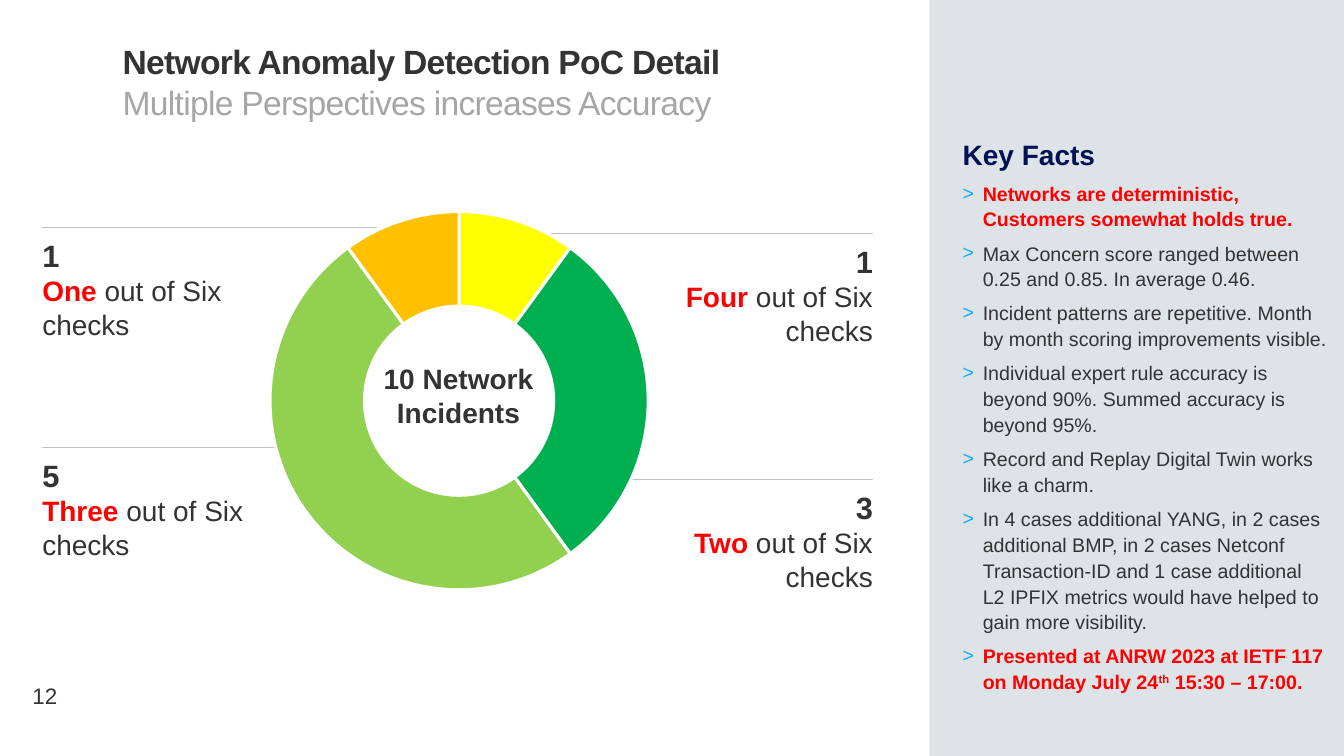
from lxml import etree
from pptx import Presentation
from pptx import util as u
from pptx.chart import data as chart_data
from pptx.dml import color
from pptx.enum import chart as chart_enum, shapes, text
from pptx.oxml import ns, parse_xml

FONT = "Arial"
DARK, RED, GREY = "333333", "FF0000", "A6A6A6"
RULE, PANEL, NAVY, BLUE, WHITE = "C1C1C1", "DDE3E7", "001155", "11AAFF", "FFFFFF"
RING = [("1", 10, "FFFF00"), ("2", 30, "00B050"), ("3", 50, "92D050"), ("4", 10, "FFC000")]
CALLOUTS = [
    ("1", "One", 30.2, 162.7, 159, 239, False),
    ("5", "Three", 30.2, 319.7, 159, 178.6, False),
    ("1", "Four", 453, 167, 170.5, 239, True),
    ("3", "Two", 453, 342.7, 170.5, 177, True),
]
KEY_FACTS = [
    ("Networks are deterministic, Customers somewhat holds true.", True),
    ("Max Concern score ranged between 0.25 and 0.85. In average 0.46.", False),
    ("Incident patterns are repetitive. Month by month scoring improvements visible.", False),
    ("Individual expert rule accuracy is beyond 90%. Summed accuracy is beyond 95%.", False),
    ("Record and Replay Digital Twin works like a charm.", False),
    ("In 4 cases additional YANG, in 2 cases additional BMP, in 2 cases Netconf "
     "Transaction-ID and 1 case additional\nL2 IPFIX metrics would have helped to "
     "gain more visibility.", False),
    ("Presented at ANRW 2023 at IETF 117 on Monday July 24^th^ 15:30 – 17:00.", True),
]


def rgb(value):
    """Turn a hex string into a colour."""
    return color.RGBColor.from_string(value)


def add_run(paragraph, words, size, shade=DARK, bold=False):
    """Append one formatted run to a paragraph."""
    run = paragraph.add_run()
    run.text = words
    run.font.name, run.font.size, run.font.bold = FONT, u.Pt(size), bold
    run.font.color.rgb = rgb(shade)
    return run


def add_text_box(slide, left, top, width, height, insets=(0, 0, 0, 0)):
    """Add a wrapping text box and return its frame."""
    frame = slide.shapes.add_textbox(*map(u.Pt, (left, top, width, height))).text_frame
    frame.word_wrap = True
    (frame.margin_left, frame.margin_top,
     frame.margin_right, frame.margin_bottom) = map(u.Pt, insets)
    return frame


def add_shape(slide, kind, left, top, width, height, fill=None):
    """Add a borderless preset shape without shadow."""
    shape = slide.shapes.add_shape(kind, *map(u.Pt, (left, top, width, height)))
    shape.shadow.inherit = False
    shape.line.fill.background()
    if fill:
        shape.fill.solid()
        shape.fill.fore_color.rgb = rgb(fill)
    else:
        shape.fill.background()
    return shape


def add_title(slide, left, top, width, height):
    """Add the two-line title."""
    frame = add_text_box(slide, left, top, width, height, (7.2, 3.6, 7.2, 3.6))
    paragraph = frame.paragraphs[0]
    title = add_run(paragraph, "Network Anomaly Detection PoC Detail", 24, DARK, True)
    paragraph.add_line_break()
    subtitle = add_run(paragraph, "Multiple Perspectives increases Accuracy", 24, GREY)
    for run in (title, subtitle):
        run.font._element.set("spc", "-50")


def add_callout(slide, count, checks, left, top, width, rule_length, on_right):
    """Add a count with its label under a rule that runs towards the ring."""
    start = left + width - rule_length if on_right else left
    rule = slide.shapes.add_connector(
        shapes.MSO_CONNECTOR.STRAIGHT, *map(u.Pt, (start, top, start + rule_length, top)))
    rule.line.color.rgb, rule.line.width = rgb(RULE), u.Pt(0.5)
    etree.SubElement(rule._element.spPr, ns.qn("a:effectLst"))
    frame = add_text_box(slide, left, top, width, 87, (0, 6.5, 0, 0))
    add_run(frame.paragraphs[0], count, 22, DARK, True)
    label = frame.add_paragraph()
    add_run(label, checks, 20, RED, True)
    add_run(label, " out of Six checks", 20)
    for paragraph in frame.paragraphs:
        paragraph.alignment = text.PP_ALIGN.RIGHT if on_right else text.PP_ALIGN.LEFT


def add_ring(slide, left, top, width, height):
    """Add the doughnut chart with its centre caption."""
    data = chart_data.CategoryChartData()
    data.categories = [name for name, _, _ in RING]
    data.add_series("Series 1", [value for _, value, _ in RING])
    chart = slide.shapes.add_chart(chart_enum.XL_CHART_TYPE.DOUGHNUT,
                                   *map(u.Pt, (left, top, width, height)), data).chart
    chart.has_legend = chart.has_title = False
    chart.font.name, chart.font.size, chart.font.color.rgb = FONT, u.Pt(18), rgb(DARK)
    plot = chart.plots[0]
    plot.vary_by_categories = True
    for index, (_, _, shade) in enumerate(RING):
        style = plot.series[0].points[index].format
        style.fill.solid()
        style.fill.fore_color.rgb = rgb(shade)
        style.line.color.rgb, style.line.width = rgb(WHITE), u.Pt(2.25)
    next(chart._chartSpace.iter(ns.qn("c:holeSize"))).set("val", "64")
    area = next(chart._chartSpace.iter(ns.qn("c:plotArea")))
    for layout in area.findall(ns.qn("c:layout")):
        area.remove(layout)
    area.insert(0, parse_xml(
        f'<c:layout {ns.nsdecls("c")}><c:manualLayout><c:layoutTarget val="inner"/>'
        '<c:xMode val="edge"/><c:yMode val="edge"/><c:x val="0.032"/><c:y val="0.032"/>'
        '<c:w val="0.936"/><c:h val="0.936"/></c:manualLayout></c:layout>'))
    centre = add_shape(slide, shapes.MSO_SHAPE.OVAL,
                       left + 48.2, top + 88.6, 191.5, 195.8)
    frame = centre.text_frame
    frame.word_wrap = True
    frame.vertical_anchor = text.MSO_ANCHOR.MIDDLE
    frame.paragraphs[0].alignment = text.PP_ALIGN.CENTER
    add_run(frame.paragraphs[0], "10 Network Incidents", 20, DARK, True)


def add_bullet(paragraph):
    """Give a paragraph the blue angle bullet and a hanging indent."""
    properties = paragraph._p.get_or_add_pPr()
    properties.set("marL", str(u.Pt(14.4)))
    properties.set("indent", str(-u.Pt(14.4)))
    shade = etree.SubElement(properties, ns.qn("a:buClr"))
    etree.SubElement(shade, ns.qn("a:srgbClr"), val=BLUE)
    etree.SubElement(properties, ns.qn("a:buFont"), typeface=FONT)
    etree.SubElement(properties, ns.qn("a:buChar"), char=">")


def add_key_facts(slide, left, top, width, height):
    """Add the side panel with its heading and bulleted facts."""
    add_shape(slide, shapes.MSO_SHAPE.RECTANGLE, left, top, width, height, PANEL)
    frame = add_text_box(slide, left + 23.8, top + 95.8, 262.8, 434.9)
    add_run(frame.paragraphs[0], "Key Facts", 20, NAVY, True)
    for fact, stressed in KEY_FACTS:
        paragraph = frame.add_paragraph()
        add_bullet(paragraph)
        paragraph.space_before = u.Pt(2.8)
        shade = RED if stressed else DARK
        for line_index, line in enumerate(fact.split("\n")):
            if line_index:
                paragraph.add_line_break()
            for part_index, part in enumerate(line.split("^")):
                run = add_run(paragraph, part, 14, shade, stressed)
                if part_index % 2:
                    run.font._element.set("baseline", "30000")
    for paragraph in frame.paragraphs:
        paragraph.line_spacing, paragraph.space_after = 1.1, u.Pt(3)


def add_page_number(slide, left, top, width, height):
    """Add the page number."""
    frame = add_text_box(slide, left, top, width, height, (0, 0, 0, 1.4))
    frame.vertical_anchor = text.MSO_ANCHOR.BOTTOM
    frame.paragraphs[0].alignment = text.PP_ALIGN.CENTER
    add_run(frame.paragraphs[0], "12", 16)


def main():
    """Build and save the slide."""
    presentation = Presentation()
    presentation.slide_width, presentation.slide_height = u.Pt(960), u.Pt(540)
    slide = presentation.slides.add_slide(presentation.slide_layouts[6])
    for callout in CALLOUTS:
        add_callout(slide, *callout)
    add_page_number(slide, 15.1, 479.5, 33.8, 28.1)
    add_ring(slide, 183.6, 95.8, 288.7, 380.9)
    add_title(slide, 80.6, 25.9, 570, 56.9)
    add_key_facts(slide, 663.8, 0, 296.2, 540)
    presentation.save("out.pptx")


if __name__ == "__main__":
    main()
